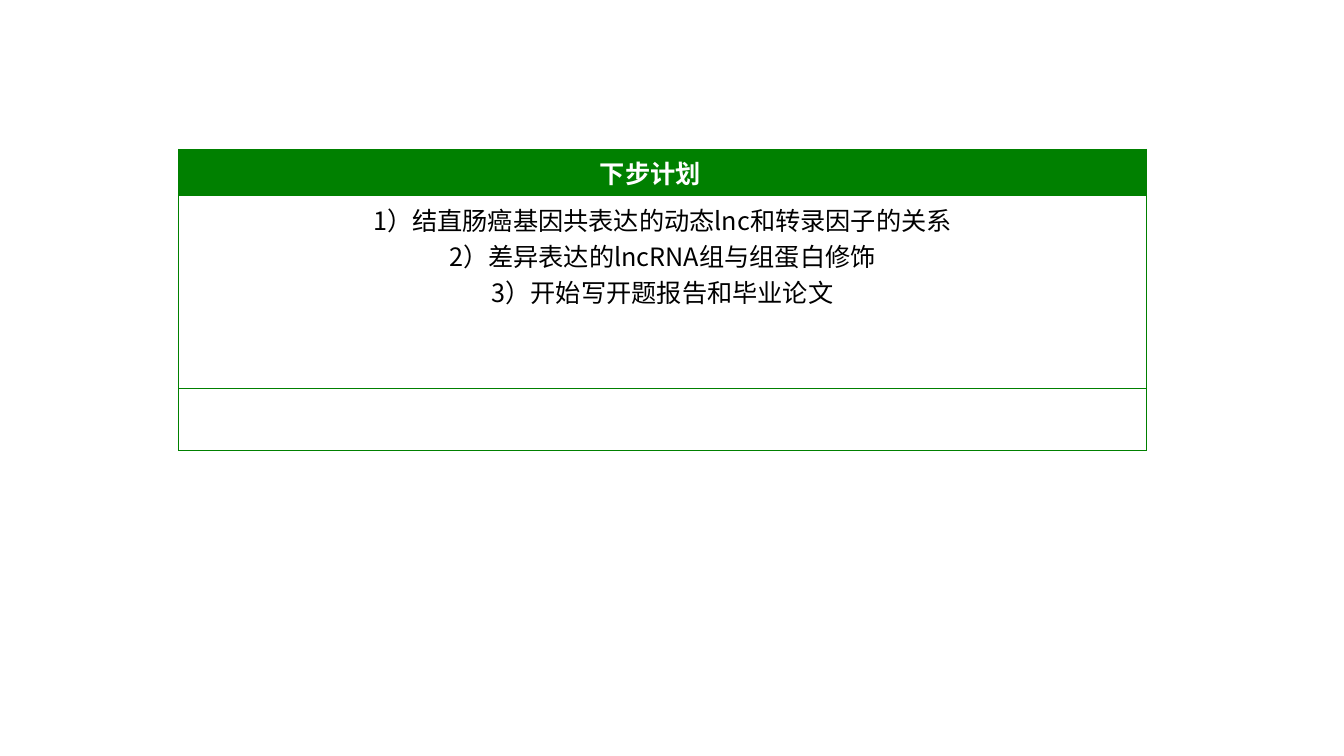
from lxml import etree
from pptx import Presentation
from pptx import util as u
from pptx.dml.color import RGBColor
from pptx.enum import text
from pptx.oxml import ns

FONT = "Noto Sans CJK SC"
GREEN = "008000"
WHITE = "FFFFFF"
BLACK = "000000"
COLUMN_WIDTHS = (4.08, 2.44, 3.08)
ROW_HEIGHTS = (0.46, 1.91, 0.62)
HEADING = "下步计划"
PLANS = (
    "1）结直肠癌基因共表达的动态lnc和转录因子的关系",
    "2）差异表达的lncRNA组与组蛋白修饰",
    "3）开始写开题报告和毕业论文",
)


def color(value):
    return RGBColor.from_string(value)


def add_borders(cell, value):
    properties = cell._tc.get_or_add_tcPr()
    for side in ("lnL", "lnR", "lnT", "lnB"):
        line = etree.SubElement(properties, ns.qn(f"a:{side}"), w=str(u.Pt(0.5)))
        fill = etree.SubElement(line, ns.qn("a:solidFill"))
        etree.SubElement(fill, ns.qn("a:srgbClr"), val=value)


def write_cell(cell, lines, value, align, anchor, bold=False):
    cell.text = "\n".join(lines)
    cell.vertical_anchor = anchor
    for para in cell.text_frame.paragraphs:
        para.alignment = align
        font = para.font
        font.name = FONT
        font.size = u.Pt(18)
        font.bold = bold
        font.color.rgb = color(value)
        etree.SubElement(font._element, ns.qn("a:ea"), typeface=FONT)


def add_grid(page):
    frame = page.shapes.add_table(
        len(ROW_HEIGHTS), len(COLUMN_WIDTHS),
        u.Inches(1.77), u.Inches(1.48),
        u.Inches(sum(COLUMN_WIDTHS)), u.Inches(sum(ROW_HEIGHTS)),
    )
    table = frame.table
    table.first_row = False
    table.horz_banding = False
    for column, width in zip(table.columns, COLUMN_WIDTHS):
        column.width = u.Inches(width)
    for row, height in zip(table.rows, ROW_HEIGHTS):
        row.height = u.Inches(height)
    for cell in table.iter_cells():
        add_borders(cell, GREEN)
        cell.fill.background()
    for cell in table.rows[0].cells:
        cell.fill.solid()
        cell.fill.fore_color.rgb = color(GREEN)
    for row in (1, 2):
        table.cell(row, 0).merge(table.cell(row, 2))
    return table


def main():
    deck = Presentation()
    deck.slide_width = u.Inches(13.33)
    deck.slide_height = u.Inches(7.5)
    page = deck.slides.add_slide(deck.slide_layouts[6])
    table = add_grid(page)
    write_cell(table.cell(0, 1), [HEADING], WHITE, text.PP_ALIGN.LEFT,
               text.MSO_ANCHOR.MIDDLE, bold=True)
    write_cell(table.cell(1, 0), PLANS, BLACK, text.PP_ALIGN.CENTER,
               text.MSO_ANCHOR.TOP)
    deck.save("out.pptx")


if __name__ == "__main__":
    main()
